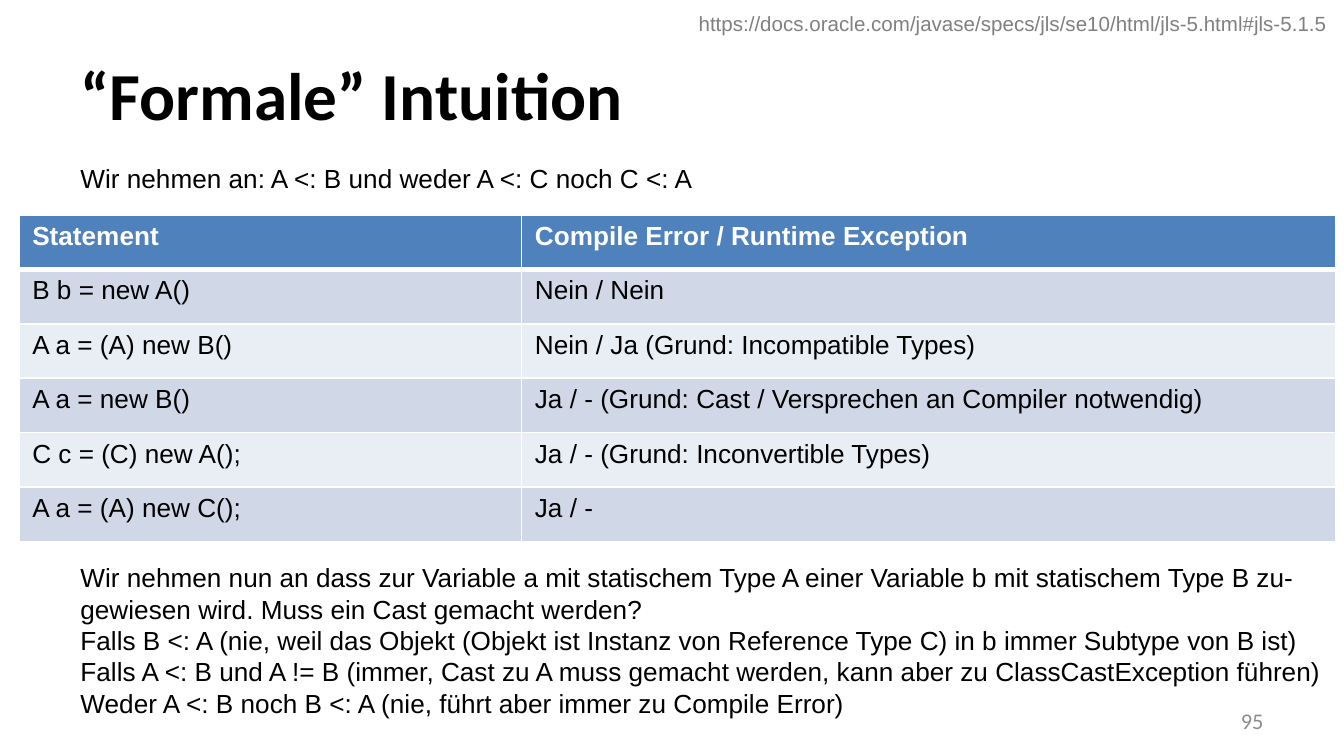
from lxml import etree
from pptx import Presentation
from pptx.dml.color import RGBColor
from pptx.enum.text import MSO_ANCHOR, PP_ALIGN
from pptx.oxml.ns import qn
from pptx.util import Inches, Pt

LEFT, RIGHT = PP_ALIGN.LEFT, PP_ALIGN.RIGHT
TOP, MIDDLE = MSO_ANCHOR.TOP, MSO_ANCHOR.MIDDLE

THEME = {
    "heading_font": "Calibri", "body_font": "Arial",
    "title": 36, "body": 14, "number": 12, "source": 11,
    "text": "000000", "number_gray": "8C8C8C", "source_gray": "808080",
    "header": "4F81BD", "header_text": "FFFFFF", "border": "FFFFFF",
    "bands": ("D0D8E8", "E9EDF4"),
}

TITLE = "“Formale” Intuition"
SOURCE = "https://docs.oracle.com/javase/specs/jls/se10/html/jls-5.html#jls-5.1.5"
PAGE_NUMBER = "95"
ASSUMPTION = "Wir nehmen an: A <: B und weder A <: C noch C <: A"
STATEMENTS = [
    ("Statement", "Compile Error / Runtime Exception"),
    ("B b = new A()", "Nein / Nein"),
    ("A a = (A) new B()", "Nein / Ja (Grund: Incompatible Types)"),
    ("A a = new B()", "Ja / - (Grund: Cast / Versprechen an Compiler notwendig)"),
    ("C c = (C) new A();", "Ja / - (Grund: Inconvertible Types)"),
    ("A a = (A) new C();", "Ja / -"),
]
CAST_RULES = [
    "Wir nehmen nun an dass zur Variable a mit statischem Type A einer Variable b mit statischem Type B zu-",
    "gewiesen wird. Muss ein Cast gemacht werden?",
    "Falls B <: A (nie, weil das Objekt (Objekt ist Instanz von Reference Type C) in b immer Subtype von B ist)",
    "Falls A <: B und A != B (immer, Cast zu A muss gemacht werden, kann aber zu ClassCastException führen)",
    "Weder A <: B noch B <: A (nie, führt aber immer zu Compile Error)",
]
COLUMN_WIDTHS = (3.74, 6.06)
TABLE_HEIGHT = 2.43


def style(para, size, color="text", font="body_font", bold=False):
    para.font.name = THEME[font]
    para.font.size = Pt(THEME[size])
    para.font.color.rgb = RGBColor.from_string(THEME[color])
    para.font.bold = bold


def add_text(page, lines, area, size, align=LEFT, anchor=TOP, wrap=False, **look):
    box = page.shapes.add_textbox(*map(Inches, area))
    frame = box.text_frame
    frame.word_wrap = wrap
    frame.vertical_anchor = anchor
    frame.text = "\n".join(lines)
    for para in frame.paragraphs:
        para.alignment = align
        style(para, size, **look)


def set_border(cell, side, points):
    """Draw one cell edge; side is L, R, T or B. Call before setting the fill."""
    line = etree.SubElement(cell._tc.get_or_add_tcPr(), qn(f"a:ln{side}"), w=str(Pt(points)))
    fill = etree.SubElement(line, qn("a:solidFill"))
    etree.SubElement(fill, qn("a:srgbClr"), val=THEME["border"])


def add_statement_table(page, left, top):
    area = (left, top, sum(COLUMN_WIDTHS), TABLE_HEIGHT)
    table = page.shapes.add_table(
        len(STATEMENTS), len(COLUMN_WIDTHS), *map(Inches, area)
    ).table
    for column, width in zip(table.columns, COLUMN_WIDTHS):
        column.width = Inches(width)
    for index, (row, texts) in enumerate(zip(table.rows, STATEMENTS)):
        row.height = Inches(TABLE_HEIGHT / len(STATEMENTS))
        is_header = index == 0
        color = THEME["header"] if is_header else THEME["bands"][(index - 1) % 2]
        for cell, text in zip(row.cells, texts):
            for side in "LRTB":
                under_header = (index, side) in ((0, "B"), (1, "T"))
                set_border(cell, side, 3 if under_header else 1)
            cell.fill.solid()
            cell.fill.fore_color.rgb = RGBColor.from_string(color)
            cell.text = text
            style(cell.text_frame.paragraphs[0], "body",
                  "header_text" if is_header else "text", bold=is_header)


def main():
    deck = Presentation()
    deck.slide_width = Inches(10)
    deck.slide_height = deck.slide_width * 9 // 16
    page = deck.slides.add_slide(deck.slide_layouts[6])

    add_text(page, [TITLE], (0.5, 0.23, 9, 0.94), "title", anchor=MIDDLE,
             wrap=True, font="heading_font", bold=True)
    add_statement_table(page, 0.14, 1.6)
    add_text(page, [PAGE_NUMBER], (7.17, 5.21, 2.33, 0.3), "number", RIGHT, MIDDLE,
             wrap=True, font="heading_font", color="number_gray")
    add_text(page, [ASSUMPTION], (0.5, 1.16, 4.83, 0.34), "body")
    add_text(page, CAST_RULES, (0.5, 4.13, 9.55, 1.28), "body")
    add_text(page, [SOURCE], (5.1, 0.03, 4.9, 0.29), "source", color="source_gray")

    deck.save("out.pptx")


if __name__ == "__main__":
    main()
